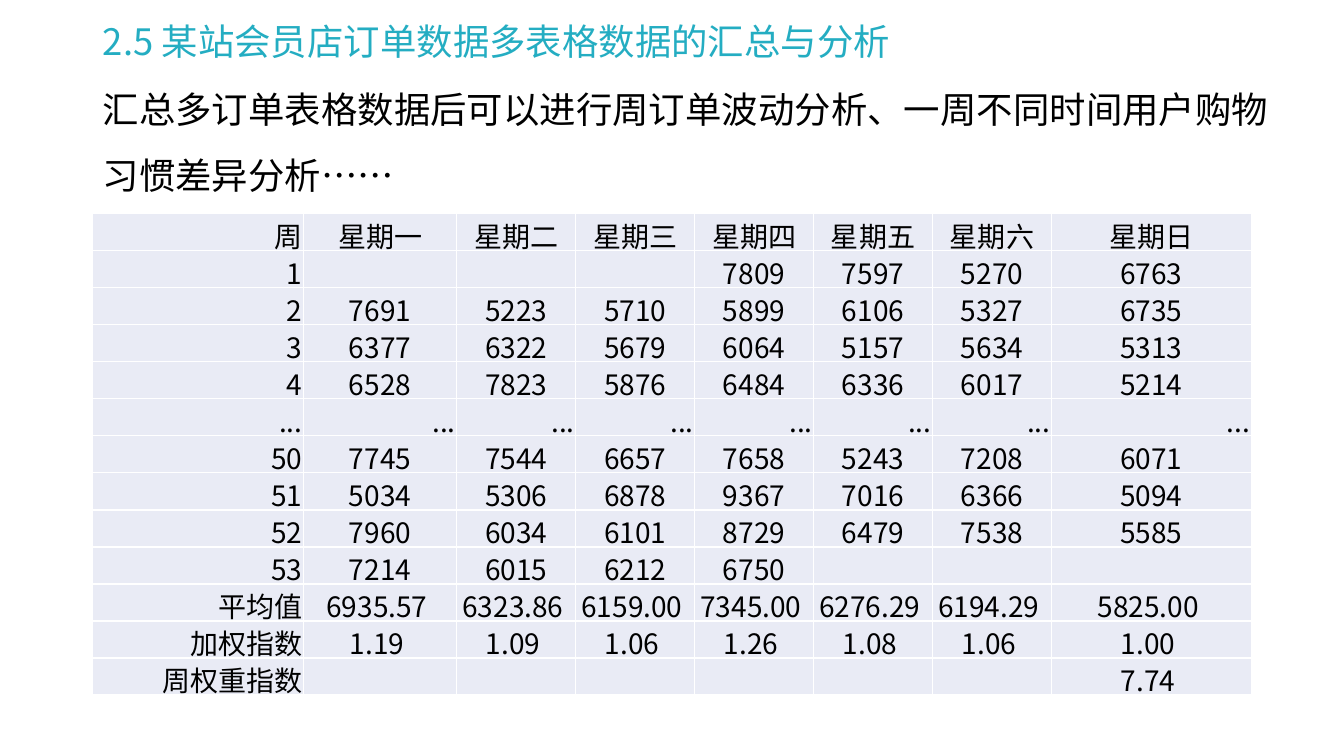
from pptx import Presentation
from pptx.dml.color import RGBColor
from pptx.enum import text
from pptx.oxml import parse_xml
from pptx.oxml.ns import nsdecls, qn
from pptx.util import Inches, Pt

# Content
TITLE = "2.5 某站会员店订单数据多表格数据的汇总与分析"
INTRO = "汇总多订单表格数据后可以进行周订单波动分析、一周不同时间用户购物习惯差异分析……"
ORDERS = [
    ("周", "星期一", "星期二", "星期三", "星期四", "星期五", "星期六", "星期日"),
    ("1", "", "", "", "7809", "7597", "5270", "6763"),
    ("2", "7691", "5223", "5710", "5899", "6106", "5327", "6735"),
    ("3", "6377", "6322", "5679", "6064", "5157", "5634", "5313"),
    ("4", "6528", "7823", "5876", "6484", "6336", "6017", "5214"),
    ("...",) * 8,
    ("50", "7745", "7544", "6657", "7658", "5243", "7208", "6071"),
    ("51", "5034", "5306", "6878", "9367", "7016", "6366", "5094"),
    ("52", "7960", "6034", "6101", "8729", "6479", "7538", "5585"),
    ("53", "7214", "6015", "6212", "6750", "", "", ""),
    ("平均值", "6935.57 ", "6323.86 ", "6159.00 ", "7345.00 ", "6276.29 ", "6194.29 ", "5825.00 "),
    ("加权指数", "1.19 ", "1.09 ", "1.06 ", "1.26 ", "1.08 ", "1.06 ", "1.00 "),
    ("周权重指数", "", "", "", "", "", "", "7.74 "),
]
COLUMN_WIDTHS = [2.09, 1.52] + [1.18] * 5 + [1.98]
TABLE_HEIGHT = 4.78
LEFT, WIDTH = 0.92, 11.5
FONT = "Noto Sans CJK SC"
TEAL, BLACK, WHITE, PALE = "24ADC2", "000000", "FFFFFF", "E9EBF5"


def color(value):
    return RGBColor.from_string(value)


def write(para, words, size, ink):
    span = para.add_run()
    span.text = words
    span.font.size = Pt(size)
    span.font.name = FONT
    span.font.color.rgb = color(ink)
    span.font._element.append(parse_xml(f'<a:ea {nsdecls("a")} typeface="{FONT}"/>'))


def place(box, left, top, width, height):
    box.left, box.top = Inches(left), Inches(top)
    box.width, box.height = Inches(width), Inches(height)


def add_borders(cell):
    properties = cell._tc.get_or_add_tcPr()
    for index, side in enumerate(("lnL", "lnR", "lnT", "lnB")):
        properties.insert(index, parse_xml(
            f'<a:{side} {nsdecls("a")} w="12700"><a:solidFill>'
            f'<a:srgbClr val="{WHITE}"/></a:solidFill></a:{side}>'))


deck = Presentation()
deck.slide_width, deck.slide_height = Inches(13.33), Inches(7.5)
page = deck.slides.add_slide(deck.slide_layouts[5])

# Title
title = page.shapes.title
place(title, LEFT, 0.26, WIDTH, 0.35)
title.text_frame.vertical_anchor = text.MSO_ANCHOR.MIDDLE
title.text_frame.auto_size = text.MSO_AUTO_SIZE.NONE
para = title.text_frame.paragraphs[0]
para.alignment = text.PP_ALIGN.LEFT
para.line_spacing = 0.9
write(para, TITLE, 26, TEAL)

# Introduction
intro = page.shapes.add_textbox(0, 0, 0, 0)
place(intro, LEFT, 0.6, 11.93, 1.34)
intro.text_frame.word_wrap = True
para = intro.text_frame.paragraphs[0]
para.line_spacing = 1.5
write(para, INTRO, 26, BLACK)

# Weekly orders table
frame = page.shapes.add_table(
    len(ORDERS), len(COLUMN_WIDTHS), Inches(LEFT), Inches(2.12), Inches(WIDTH), Inches(TABLE_HEIGHT))
table = frame.table
table.first_row = table.horz_banding = False
for column, width in zip(table.columns, COLUMN_WIDTHS):
    column.width = Inches(width)
for row, values in zip(table.rows, ORDERS):
    row.height = Inches(TABLE_HEIGHT / len(ORDERS))
    for index, (cell, value) in enumerate(zip(row.cells, values)):
        cell.margin_left = cell.margin_right = cell.margin_top = Inches(0.01)
        cell.margin_bottom = 0
        cell.vertical_anchor = text.MSO_ANCHOR.MIDDLE
        cell.fill.solid()
        cell.fill.fore_color.rgb = color(PALE)
        add_borders(cell)
        if value:
            para = cell.text_frame.paragraphs[0]
            to_right = index == 0 or value == "..."
            para.alignment = text.PP_ALIGN.RIGHT if to_right else text.PP_ALIGN.CENTER
            write(para, value, 20, BLACK)

deck.save("out.pptx")
